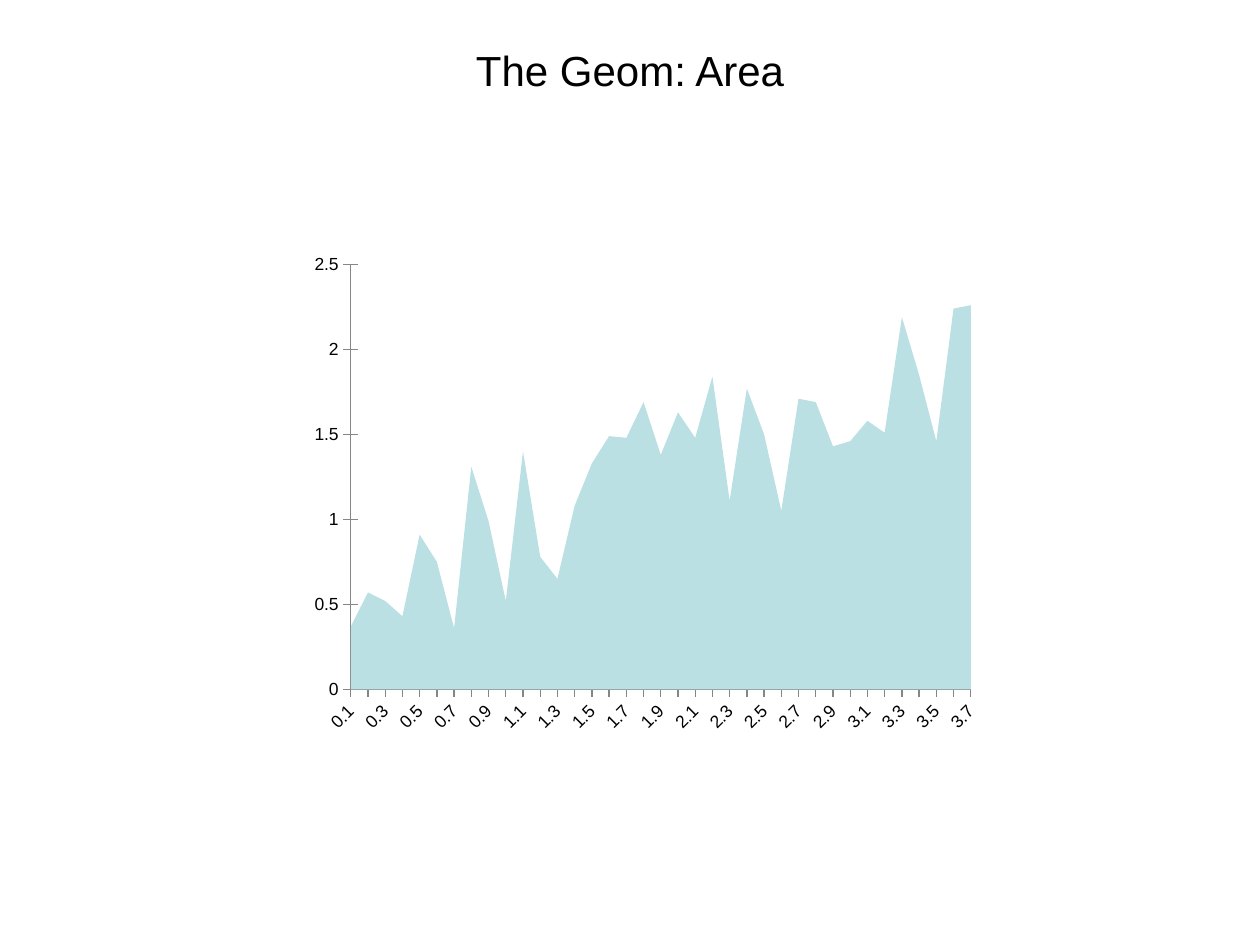
from dataclasses import dataclass

from pptx import Presentation
from pptx.chart.data import CategoryChartData
from pptx.dml.color import RGBColor
from pptx.enum.chart import XL_CHART_TYPE, XL_TICK_MARK
from pptx.enum.text import MSO_ANCHOR, PP_ALIGN
from pptx.oxml import parse_xml
from pptx.oxml.ns import nsdecls, qn
from pptx.util import Cm, Pt


@dataclass(frozen=True)
class Theme:
    font: str = "Arial"
    text: RGBColor = RGBColor(0x00, 0x00, 0x00)
    area: RGBColor = RGBColor(0xBB, 0xE0, 0xE3)
    axis: RGBColor = RGBColor(0x86, 0x86, 0x86)
    title_size: Pt = Pt(24)
    label_size: Pt = Pt(10)


THEME = Theme()
VALUES = [
    0.37, 0.57, 0.52, 0.43, 0.91, 0.75, 0.36, 1.31, 0.99, 0.52,
    1.4, 0.78, 0.65, 1.08, 1.33, 1.49, 1.48, 1.69, 1.38, 1.63,
    1.48, 1.84, 1.11, 1.77, 1.5, 1.05, 1.71, 1.69, 1.43, 1.46,
    1.58, 1.51, 2.19, 1.85, 1.46, 2.24, 2.26,
]
PLOT_LAYOUT = {"x": 0.07, "y": 0.04, "w": 0.9, "h": 0.85}


def format_font(font, size):
    font.name = THEME.font
    font.size = size
    font.color.rgb = THEME.text


def write_text(frame, text, size, align, anchor):
    frame.word_wrap = True
    frame.vertical_anchor = anchor
    para = frame.paragraphs[0]
    para.alignment = align
    span = para.add_run()
    span.text = text
    format_font(span.font, size)


def add_title(page, text):
    title = page.shapes.title
    title.left, title.top, title.width, title.height = Cm(1.27), Cm(0.76), Cm(22.86), Cm(3.18)
    write_text(title.text_frame, text, size=THEME.title_size,
               align=PP_ALIGN.CENTER, anchor=MSO_ANCHOR.TOP)


def format_axis(axis):
    axis.has_major_gridlines = False
    axis.major_tick_mark = XL_TICK_MARK.CROSS
    axis.minor_tick_mark = XL_TICK_MARK.NONE
    axis.format.line.color.rgb = THEME.axis
    axis.format.line.width = Pt(0.75)
    format_font(axis.tick_labels.font, THEME.label_size)


def slant_alternate_labels(axis):
    """Show every second category label, turned 45 degrees, with a tick for each category."""
    element = axis._element
    element.find(qn("c:txPr")).find(qn("a:bodyPr")).set("rot", "-2700000")
    last = element.find(qn("c:noMultiLvlLbl"))
    for tag, step in (("tickLblSkip", 2), ("tickMarkSkip", 1)):
        last.addprevious(parse_xml(f'<c:{tag} {nsdecls("c")} val="{step}"/>'))


def place_plot(chart, layout):
    """Fix the inner plot area as fractions of the chart frame."""
    plot_area = chart._chartSpace.chart.plotArea
    for old in plot_area.findall(qn("c:layout")):
        plot_area.remove(old)
    modes = '<c:xMode val="edge"/><c:yMode val="edge"/>'
    sizes = "".join(f'<c:{key} val="{part}"/>' for key, part in layout.items())
    plot_area.insert(0, parse_xml(
        f'<c:layout {nsdecls("c")}><c:manualLayout><c:layoutTarget val="inner"/>'
        f"{modes}{sizes}</c:manualLayout></c:layout>"))


def add_area_chart(page, values):
    data = CategoryChartData()
    data.categories = [f"{step / 10:g}" for step in range(1, len(values) + 1)]
    data.add_series("Series 1", values)
    chart = page.shapes.add_chart(XL_CHART_TYPE.AREA, Cm(6.1), Cm(4.93),
                                  Cm(13.89), Cm(10.08), data).chart
    chart.has_legend = False
    chart.has_title = False
    format_font(chart.font, THEME.label_size)
    fill = chart.plots[0].series[0].format.fill
    fill.solid()
    fill.fore_color.rgb = THEME.area

    format_axis(chart.category_axis)
    format_axis(chart.value_axis)
    slant_alternate_labels(chart.category_axis)
    chart.value_axis.minimum_scale = 0
    chart.value_axis.maximum_scale = 2.5
    chart.value_axis.major_unit = 0.5
    chart.value_axis.tick_labels.number_format = "General"
    chart.value_axis.tick_labels.number_format_is_linked = False
    place_plot(chart, PLOT_LAYOUT)


def main():
    deck = Presentation()
    deck.slide_width, deck.slide_height = Cm(25.4), Cm(19.05)
    page = deck.slides.add_slide(deck.slide_layouts[5])
    add_title(page, "The Geom: Area")
    add_area_chart(page, VALUES)
    deck.save("out.pptx")


if __name__ == "__main__":
    main()
